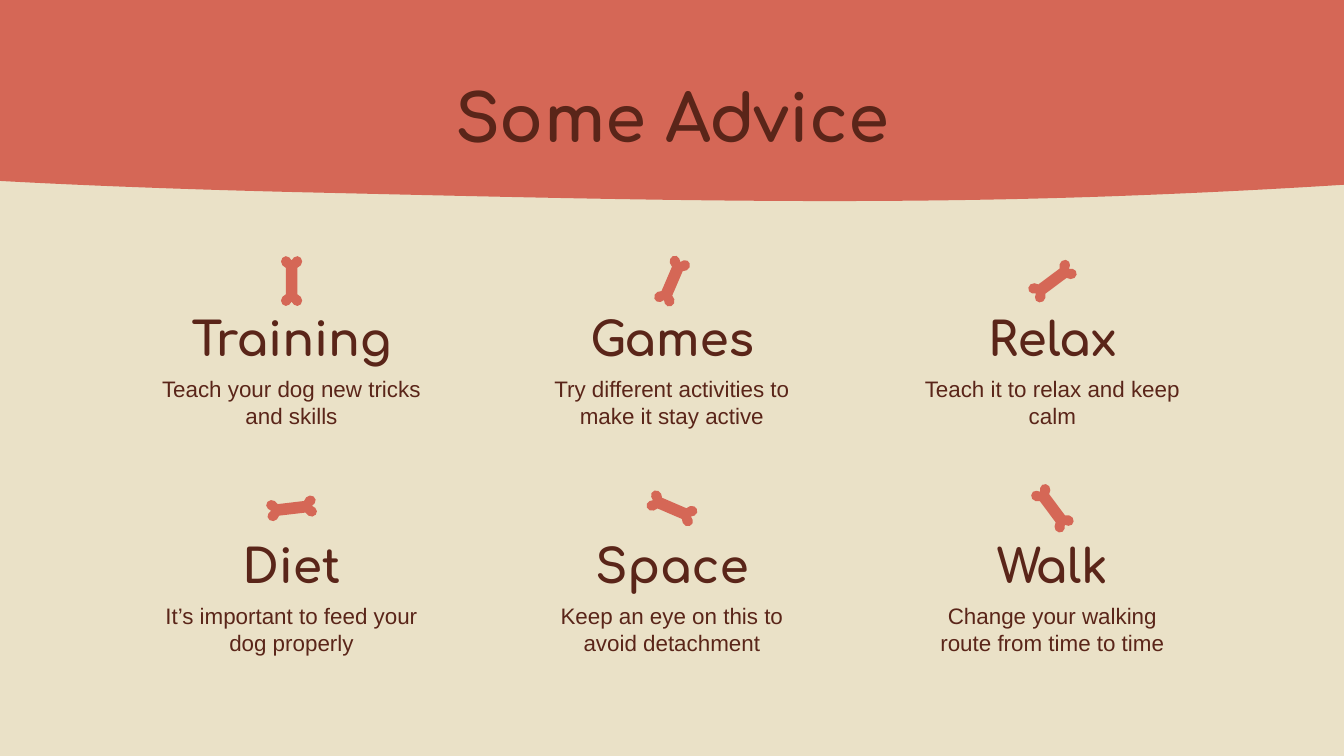
import math
from typing import NamedTuple

import pptx
import pptx.dml.color
import pptx.enum.text
import pptx.oxml.ns
import pptx.util

Cm = pptx.util.Cm
RGBColor = pptx.dml.color.RGBColor
Point = tuple[float, float]

CREAM = RGBColor(0xEA, 0xE1, 0xC7)
CORAL = RGBColor(0xD5, 0x67, 0x56)
BROWN = RGBColor(0x5A, 0x25, 0x19)
HEADING_FONT = "Comfortaa"
BODY_FONT = "Arial"

# Grid of advice cards, in centimetres
COLUMNS = 3
FIRST_CENTER, COLUMN_PITCH = 5.51, 7.19
FIRST_BONE_Y, ROW_PITCH = 5.31, 4.29
BONE_TILT = -21.7

# Bézier outlines: a start point, then two handles and an end per segment
BAND = [
    (20.96, 3.71),
    (23.14, 3.63), (25.45, 3.51), (28.02, 3.3),
    (36.63, 2.59), (38.61, 0.91), (36.88, -0.28),
    (36.88, -0.28), (35.26, -1.19), (28.88, -1.4),
    (26.7, -1.47), (24.61, -1.45), (22.58, -1.4),
    (18.75, -1.24), (15.16, -0.94), (11.68, -0.76),
    (11.43, -0.76), (11.15, -0.74), (10.87, -0.74),
    (8.38, -0.63), (5.87, -0.74), (3.33, -0.69),
    (2.87, -0.66), (2.44, -0.66), (2.01, -0.63),
    (-6.2, -0.36), (-11.25, 1.14), (-9.19, 2.08),
    (-7.32, 2.95), (-2.51, 3.43), (5.61, 3.63),
    (11.33, 3.76), (15.82, 3.89), (20.96, 3.71),
]
KNOB = [
    (0.25, -0.11),
    (0.27, -0.16), (0.32, -0.2), (0.37, -0.2),
    (0.42, -0.2), (0.47, -0.16), (0.47, -0.11),
    (0.47, -0.06), (0.43, -0.02), (0.39, 0),
]


class Advice(NamedTuple):
    heading: str
    description: str
    rotation: float


ADVICE = [
    Advice("Training", "Teach your dog new tricks and skills", 111.7),
    Advice("Games", "Try different activities to make it stay active", 135),
    Advice("Relax", "Teach it to relax and keep calm", 165),
    Advice("Diet", "It’s important to feed your dog properly", 195),
    Advice("Space", "Keep an eye on this to avoid detachment", 225),
    Advice("Walk", "Change your walking route from time to time", 255),
]


def bone_ends() -> list[list[Point]]:
    """Two mirrored ends, each with a pair of knobs, tilted about the origin."""
    right = KNOB + [(x, -y) for x, y in reversed(KNOB[:-1])]
    left = [(-x, -y) for x, y in right]
    cos, sin = math.cos(math.radians(BONE_TILT)), math.sin(math.radians(BONE_TILT))
    return [[(x * cos - y * sin, x * sin + y * cos) for x, y in end]
            for end in (right, left)]


def add_outline(slide, curves: list[list[Point]], center: Point = (0, 0),
                rotation: float = 0):
    """Draw one closed shape from Bézier curves joined by straight lines."""
    vertices = [(Cm(center[0] + x), Cm(center[1] + y))
                for curve in curves for x, y in curve]
    builder = slide.shapes.build_freeform(*vertices[0])
    builder.add_line_segments(vertices[1:], close=True)
    shape = builder.convert_to_shape()

    qn = pptx.oxml.ns.qn
    outline = next(shape.element.iter(qn("a:path")))
    lines = iter(outline.findall(qn("a:lnTo")))
    for index, curve in enumerate(curves):
        if index:
            next(lines)
        for _ in range(len(curve) // 3):
            segment = next(lines)
            bezier = outline.makeelement(qn("a:cubicBezTo"), {})
            segment.addprevious(bezier)
            for line in (segment, next(lines), next(lines)):
                bezier.append(line[0])
                outline.remove(line)

    shape.shadow.inherit = False
    shape.fill.solid()
    shape.fill.fore_color.rgb = CORAL
    shape.line.fill.background()
    shape.rotation = rotation
    return shape


def write_text(shape, text: str, *, font: str, size: float, bold: bool = False) -> None:
    frame = shape.text_frame
    frame.word_wrap = True
    frame.auto_size = pptx.enum.text.MSO_AUTO_SIZE.NONE
    frame.vertical_anchor = pptx.enum.text.MSO_ANCHOR.TOP
    frame.margin_left = frame.margin_right = Cm(0.25)
    frame.margin_top = frame.margin_bottom = Cm(0.25)
    paragraph = frame.paragraphs[0]
    paragraph.alignment = pptx.enum.text.PP_ALIGN.CENTER
    run = paragraph.add_run()
    run.text = text
    run.font.name = font
    run.font.size = pptx.util.Pt(size)
    run.font.bold = bold
    run.font.color.rgb = BROWN


def add_advice(slide, advice: Advice, center: float, bone_y: float) -> None:
    heading = slide.shapes.add_textbox(
        Cm(center - 3.16), Cm(bone_y + 0.29), Cm(6.32), Cm(1.19))
    write_text(heading, advice.heading, font=HEADING_FONT, size=25, bold=True)
    description = slide.shapes.add_textbox(
        Cm(center - 2.75), Cm(bone_y + 1.52), Cm(5.5), Cm(1.5))
    write_text(description, advice.description, font=BODY_FONT, size=12)
    add_outline(slide, bone_ends(), (center, bone_y), advice.rotation)


def main() -> None:
    presentation = pptx.Presentation()
    presentation.slide_width, presentation.slide_height = Cm(25.4), Cm(14.28)
    slide = presentation.slides.add_slide(presentation.slide_layouts[5])
    slide.background.fill.solid()
    slide.background.fill.fore_color.rgb = CREAM

    title = slide.shapes.title
    band = add_outline(slide, [BAND])
    title.element.addprevious(band.element)
    title.left, title.top = Cm(1.68), Cm(1.21)
    title.width, title.height = Cm(22.05), Cm(1.6)
    write_text(title, "Some Advice", font=HEADING_FONT, size=35, bold=True)

    for index, advice in enumerate(ADVICE):
        row, column = divmod(index, COLUMNS)
        add_advice(slide, advice, FIRST_CENTER + column * COLUMN_PITCH,
                   FIRST_BONE_Y + row * ROW_PITCH)

    presentation.save("out.pptx")


if __name__ == "__main__":
    main()
